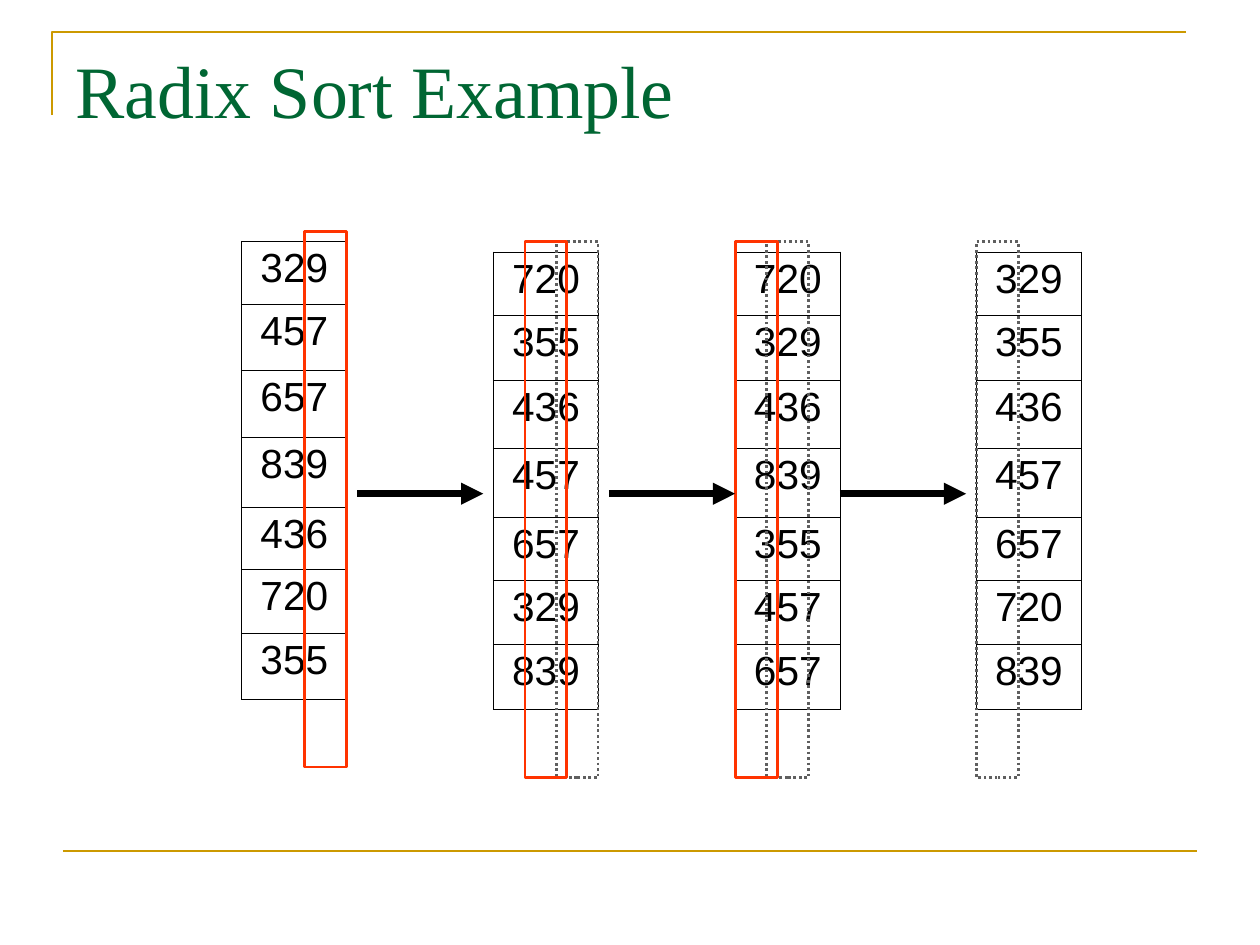
from pptx import Presentation
from pptx import util as u
from pptx.dml.color import RGBColor
from pptx.enum import dml, shapes, text
from pptx.oxml.ns import qn
from lxml import etree

Pt = u.Pt
BLACK, RED, GRAY, GOLD, GREEN = "000000", "FF3300", "5F5F5F", "CC9900", "006633"
NUMBERS = ["329", "457", "657", "839", "436", "720", "355"]
ROW_HEIGHTS = [51.1, 53.3, 54.7, 56.4, 51.1, 51.8, 53.3]
TABLE_WIDTH, DIGIT_STEP = 85.2, 25.5
TABLES = [(196.56, 196.2), (401.04, 204.8), (597.6, 204.8), (793.44, 204.8)]
ARROWS_X, ARROW_Y, ARROW_LENGTH = [290.2, 494.8, 682.5], 401, 102.5


def rgb(value):
    return RGBColor.from_string(value)


def set_line(sp, color, width):
    sp.line.color.rgb = rgb(color)
    sp.line.width = Pt(width)


def write(tf, content, *, size, font, color, align=text.PP_ALIGN.LEFT):
    p = tf.paragraphs[0]
    p.alignment = align
    r = p.add_run()
    r.text = content
    r.font.size = Pt(size)
    r.font.name = font
    r.font.color.rgb = rgb(color)


def add_title(s, content):
    sp = s.shapes.add_textbox(Pt(51.1), Pt(31), Pt(921.6), Pt(127.4))
    tf = sp.text_frame
    tf.word_wrap = True
    tf.margin_left = tf.margin_right = Pt(10.1)
    tf.margin_top = tf.margin_bottom = Pt(5)
    write(tf, content, size=60, font="Times New Roman", color=GREEN)


def add_line(s, x1, y1, x2, y2, color, width, arrow=False):
    sp = s.shapes.add_connector(shapes.MSO_CONNECTOR.STRAIGHT,
                                Pt(x1), Pt(y1), Pt(x2), Pt(y2))
    set_line(sp, color, width)
    if arrow:
        etree.SubElement(sp.line._get_or_add_ln(), qn("a:tailEnd"), type="triangle")
    etree.SubElement(sp._element.spPr, qn("a:effectLst"))


def add_corner(s):
    fb = s.shapes.build_freeform(Pt(42.5), Pt(93.6))
    fb.add_line_segments([(Pt(42.5), Pt(25.7)), (Pt(964), Pt(25.7))], close=False)
    sp = fb.convert_to_shape()
    sp.shadow.inherit = False
    sp.fill.background()
    set_line(sp, GOLD, 1.5)


def set_border(cell, side, width):
    ln = etree.SubElement(cell._tc.get_or_add_tcPr(), qn("a:ln" + side),
                          w=str(int(Pt(width))))
    fill = etree.SubElement(ln, qn("a:solidFill"))
    etree.SubElement(fill, qn("a:srgbClr"), val=BLACK)


def add_number_table(s, x, y, numbers):
    tbl = s.shapes.add_table(len(numbers), 1, Pt(x), Pt(y),
                             Pt(TABLE_WIDTH), Pt(sum(ROW_HEIGHTS))).table
    tbl.first_row = tbl.horz_banding = False
    last = len(numbers) - 1
    for i, number in enumerate(numbers):
        tbl.rows[i].height = Pt(ROW_HEIGHTS[i])
        cell = tbl.cell(i, 0)
        cell.margin_left = cell.margin_right = Pt(10.1)
        cell.margin_top = cell.margin_bottom = Pt(3.6)
        widths = {"L": 1.08, "R": 1.08,
                  "T": 1.08 if i == 0 else 0.45,
                  "B": 1.08 if i == last else 0.45}
        for side, width in widths.items():
            set_border(cell, side, width)
        cell.fill.background()
        write(cell.text_frame, number, size=33, font="Arial", color=BLACK,
              align=text.PP_ALIGN.CENTER)


def add_digit_box(s, table_x, table_y, digit, color, dotted=False):
    sp = s.shapes.add_shape(shapes.MSO_SHAPE.RECTANGLE,
                            Pt(table_x + digit * DIGIT_STEP), Pt(table_y - 8.4),
                            Pt(34), Pt(435.3))
    sp.shadow.inherit = False
    sp.fill.background()
    set_line(sp, color, 2.25)
    if dotted:
        sp.line.dash_style = dml.MSO_LINE.ROUND_DOT


def main():
    prs = Presentation()
    prs.slide_width, prs.slide_height = Pt(1023.84), Pt(767.52)
    s = prs.slides.add_slide(prs.slide_layouts[6])

    # Frame and title
    add_corner(s)
    add_line(s, 51.1, 691.2, 972.7, 691.2, GOLD, 1.5)
    add_title(s, "Radix Sort Example")

    # Each table is the one before, stably sorted by its next digit from the right
    numbers = NUMBERS
    for step, (x, y) in enumerate(TABLES):
        sorted_digit, next_digit = 3 - step, 2 - step
        if step > 0:
            numbers = sorted(numbers, key=lambda n: n[sorted_digit])
        add_number_table(s, x, y, numbers)
        if step > 0:
            add_digit_box(s, x, y, sorted_digit, GRAY, dotted=True)
        if next_digit >= 0:
            add_digit_box(s, x, y, next_digit, RED)

    # Arrows between the passes
    for x in ARROWS_X:
        add_line(s, x, ARROW_Y, x + ARROW_LENGTH, ARROW_Y, BLACK, 6, arrow=True)

    prs.save("out.pptx")


if __name__ == "__main__":
    main()
